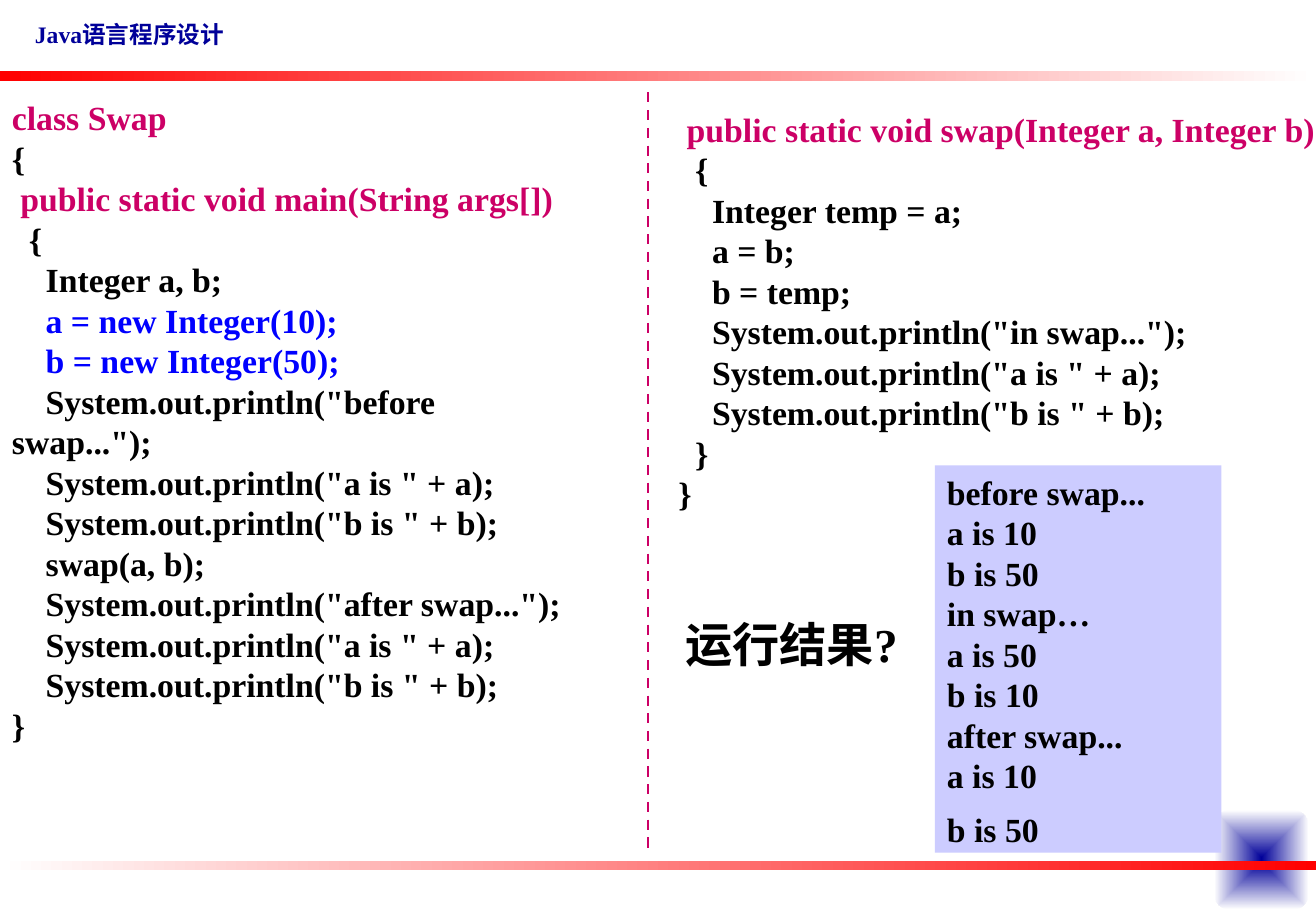
"""Build the Java slide on swapping two Integer objects."""
import pptx
import pptx.dml.color
import pptx.enum.dml
import pptx.enum.shapes
import pptx.enum.text
import pptx.oxml
import pptx.oxml.ns
import pptx.util

Cm = pptx.util.Cm
Pt = pptx.util.Pt
RGBColor = pptx.dml.color.RGBColor
Shape = pptx.enum.shapes.MSO_SHAPE
Anchor = pptx.enum.text.MSO_ANCHOR
Align = pptx.enum.text.PP_ALIGN

BLACK = RGBColor(0x00, 0x00, 0x00)
WHITE = RGBColor(0xFF, 0xFF, 0xFF)
RED = RGBColor(0xFF, 0x00, 0x00)
NAVY = RGBColor(0x00, 0x00, 0x99)
BLUE = RGBColor(0x00, 0x00, 0xFF)
CRIMSON = RGBColor(0xCC, 0x00, 0x66)
LILAC = RGBColor(0xCC, 0xCC, 0xFF)
SPACE_WIDTH = Pt(5)

FRAME_FORMAT = {
    "margin_left": Cm(0.25),
    "margin_right": Cm(0.25),
    "margin_top": Cm(0.13),
    "margin_bottom": Cm(0.13),
    "auto_size": pptx.enum.text.MSO_AUTO_SIZE.NONE,
}
CODE_FRAME = {"word_wrap": True, "vertical_anchor": Anchor.MIDDLE}
CODE_PARA = {"alignment": Align.LEFT, "line_spacing": Pt(24)}


def write(box, lines, size, frame_format, para_format):
    """Fill a box with (indent, text, colour) lines."""
    frame = box.text_frame
    for name, value in {**FRAME_FORMAT, **frame_format}.items():
        setattr(frame, name, value)
    for number, (indent, text, color) in enumerate(lines):
        para = frame.add_paragraph() if number else frame.paragraphs[0]
        for name, value in para_format.items():
            setattr(para, name, value)
        if indent:
            para._p.get_or_add_pPr().set("indent", str(indent * SPACE_WIDTH))
        span = para.add_run()
        span.text = text
        span.font.color.rgb = color
        for name, value in {"name": "Times New Roman", "size": Pt(size), "bold": True}.items():
            setattr(span.font, name, value)


def add_gradient(page, kind, place, colors):
    """Add a preset shape with a horizontal two-colour gradient."""
    shape = page.shapes.add_shape(kind, *map(Cm, place))
    shape.shadow.inherit = False
    shape.line.fill.background()
    shape.fill.gradient()
    shape.fill.gradient_angle = 0
    for stop, color in zip(shape.fill.gradient_stops, colors):
        stop.color.rgb = color
    return shape


deck = pptx.Presentation()
deck.slide_width = Cm(27.53)
deck.slide_height = Cm(19.05)
page = deck.slides.add_slide(deck.slide_layouts[5])

course = page.shapes.title
for name, value in {"left": 0.48, "top": 0.28, "width": 5.08, "height": 0.86}.items():
    setattr(course, name, Cm(value))
write(course, [(0, "Java语言程序设计", NAVY)], 14,
      {"word_wrap": True, "vertical_anchor": Anchor.TOP}, {"alignment": Align.LEFT})

glow = add_gradient(page, Shape.ROUNDED_RECTANGLE, (25.4, 16.94, 1.98, 2.08), (NAVY, WHITE))
direction = glow._element.spPr.find(".//" + pptx.oxml.ns.qn("a:lin"))
direction.getparent().replace(direction, pptx.oxml.parse_xml(
    f'<a:path {pptx.oxml.ns.nsdecls("a")} path="rect">'
    '<a:fillToRect l="50000" t="50000" r="50000" b="50000"/></a:path>'))

for top, colors in ((1.49, (RED, WHITE)), (18.0, (WHITE, RED))):
    add_gradient(page, Shape.RECTANGLE, (0, top, 27.53, 0.2), colors)

print_values = [(4, f'System.out.println("{name} is " + {name});', BLACK) for name in "ab"]
main_code = [
    (0, "class Swap", CRIMSON),
    (0, "{", BLACK),
    (1, "public static void main(String args[])", CRIMSON),
    (2, "{", BLACK),
    (4, "Integer a, b;", BLACK),
    (4, "a = new Integer(10);", BLUE),
    (4, "b = new Integer(50);", BLUE),
    (4, 'System.out.println("before swap...");', BLACK),
    *print_values,
    (4, "swap(a, b);", BLACK),
    (4, 'System.out.println("after swap...");', BLACK),
    *print_values,
    (0, "}", BLACK),
]
swap_code = [
    (1, "public static void swap(Integer a, Integer b)", CRIMSON),
    (2, "{", BLACK),
    (4, "Integer temp = a;", BLACK),
    (4, "a = b;", BLACK),
    (4, "b = temp;", BLACK),
    (4, 'System.out.println("in swap...");', BLACK),
    *print_values,
    (2, "}", BLACK),
    (0, "}", BLACK),
]
for place, code in (((0, 1.04, 12.4, 15.52), main_code), ((13.94, 2.13, 13.87, 8.74), swap_code)):
    write(page.shapes.add_textbox(*map(Cm, place)), code, 20, CODE_FRAME, CODE_PARA)

divider = page.shapes.add_connector(
    pptx.enum.shapes.MSO_CONNECTOR.STRAIGHT, Cm(13.56), Cm(1.93), Cm(13.56), Cm(17.73))
divider.line.color.rgb = CRIMSON
divider.line.width = Pt(1.5)
divider.line.dash_style = pptx.enum.dml.MSO_LINE.DASH
divider._element.spPr.append(
    pptx.oxml.parse_xml(f'<a:effectLst {pptx.oxml.ns.nsdecls("a")}/>'))

question = page.shapes.add_textbox(Cm(13.97), Cm(12.73), Cm(5.18), Cm(1.45))
write(question, [(0, "运行结果?", BLACK)], 28,
      {"word_wrap": False, "vertical_anchor": Anchor.TOP}, {"alignment": Align.CENTER})

output = page.shapes.add_shape(Shape.RECTANGLE, Cm(19.56), Cm(9.73), Cm(5.99), Cm(8.1))
output.shadow.inherit = False
output.fill.solid()
output.fill.fore_color.rgb = LILAC
output.line.fill.background()
printed = [
    (0, text, BLACK)
    for stage, a, b in (("before swap...", 10, 50), ("in swap…", 50, 10), ("after swap...", 10, 50))
    for text in (stage, f"a is {a}", f"b is {b}")
]
write(output, printed, 20, {**CODE_FRAME, "margin_bottom": Cm(0.06)}, CODE_PARA)
output.text_frame.paragraphs[-1].space_before = Pt(8)

deck.save("out.pptx")
